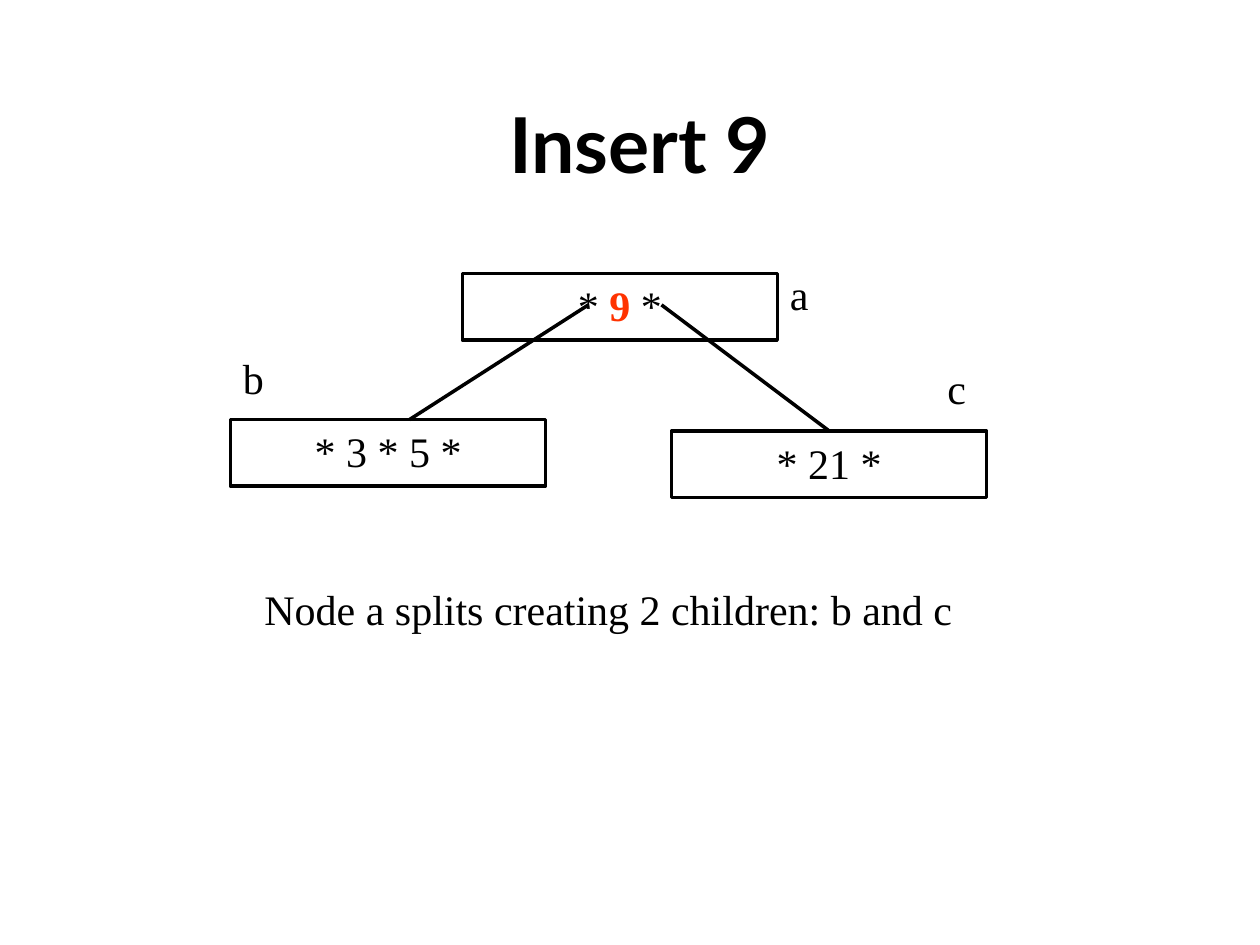
from dataclasses import dataclass

from lxml.etree import SubElement
from pptx import Presentation
from pptx.dml.color import RGBColor
from pptx.enum.shapes import MSO_CONNECTOR, MSO_SHAPE
from pptx.enum.text import MSO_ANCHOR, PP_ALIGN
from pptx.oxml.ns import qn
from pptx.util import Inches, Pt

BLACK, RED = "000000", "FF3300"
NODE_W, NODE_H = 2.5, 0.53
LINE_W = Pt(2)
BODY = {"name": "Times New Roman", "size": Pt(24), "bold": False}
KEY = {**BODY, "bold": True}
TITLE = {"name": "Lato", "size": Pt(44), "bold": True}


@dataclass
class Run:
    """A piece of text with one colour and format."""
    text: str
    color: str
    fmt: dict


@dataclass
class Node:
    """A tree node, placed by its top left corner."""
    x: float
    y: float
    runs: list[Run]


@dataclass
class Label:
    """Free text on the slide."""
    text: str
    x: float
    y: float
    w: float = 0.5


@dataclass
class Edge:
    """A line from a pointer in the root to a child."""
    x1: float
    y1: float
    x2: float
    y2: float


def rgb(color: str) -> RGBColor:
    """Turn a hex string into a colour."""
    return RGBColor.from_string(color)


def write(tf, runs: list[Run], align, anchor=MSO_ANCHOR.TOP, before=Pt(3)) -> None:
    """Write one paragraph of formatted runs."""
    tf.word_wrap = True
    tf.vertical_anchor = anchor
    p = tf.paragraphs[0]
    p.alignment, p.space_before = align, before
    for run in runs:
        r = p.add_run()
        r.text = run.text
        r.font.color.rgb = rgb(run.color)
        for name, value in run.fmt.items():
            setattr(r.font, name, value)


def draw_title(s, text: str) -> None:
    """Place and fill the title placeholder."""
    sp = s.shapes.title
    sp.left, sp.top = Inches(0.83), Inches(0.67)
    sp.width, sp.height = Inches(8.5), Inches(0.92)
    write(sp.text_frame, [Run(text, BLACK, TITLE)], PP_ALIGN.CENTER,
          MSO_ANCHOR.MIDDLE, Pt(0))


def draw_node(s, node: Node) -> None:
    """Draw an outlined box with its keys."""
    sp = s.shapes.add_shape(MSO_SHAPE.RECTANGLE, Inches(node.x), Inches(node.y),
                            Inches(NODE_W), Inches(NODE_H))
    sp.shadow.inherit = False
    sp.fill.background()
    sp.line.color.rgb = rgb(BLACK)
    sp.line.width = LINE_W
    write(sp.text_frame, node.runs, PP_ALIGN.CENTER)


def draw_edge(s, edge: Edge) -> None:
    """Draw a plain line between two nodes."""
    ends = map(Inches, (edge.x1, edge.y1, edge.x2, edge.y2))
    line = s.shapes.add_connector(MSO_CONNECTOR.STRAIGHT, *ends)
    line.line.color.rgb = rgb(BLACK)
    line.line.width = LINE_W
    SubElement(line._element.spPr, qn("a:effectLst"))


def draw_label(s, label: Label) -> None:
    """Draw left-aligned text."""
    sp = s.shapes.add_textbox(Inches(label.x), Inches(label.y),
                              Inches(label.w), Inches(0.5))
    write(sp.text_frame, [Run(label.text, BLACK, BODY)], PP_ALIGN.LEFT)


NODES = [
    Node(3.67, 2.17, [Run("* ", BLACK, BODY), Run("9", RED, KEY),
                      Run(" *", BLACK, BODY)]),
    Node(1.83, 3.33, [Run("* 3 * 5 *", BLACK, BODY)]),
    Node(5.33, 3.42, [Run("* 21 *", BLACK, BODY)]),
]
EDGES = [Edge(4.67, 2.42, 3.25, 3.33), Edge(5.25, 2.42, 6.58, 3.42)]
LABELS = [
    Label("a", 6.17, 2.08),
    Label("b", 1.83, 2.75),
    Label("c", 7.42, 2.83),
    Label("Node a splits creating 2 children: b and c", 2, 4.58, 6),
]

prs = Presentation()
prs.slide_width, prs.slide_height = Inches(10), Inches(7.5)
s = prs.slides.add_slide(prs.slide_layouts[5])
draw_title(s, "Insert 9")
for draw, items in ((draw_node, NODES), (draw_edge, EDGES), (draw_label, LABELS)):
    for item in items:
        draw(s, item)
prs.save("out.pptx")
